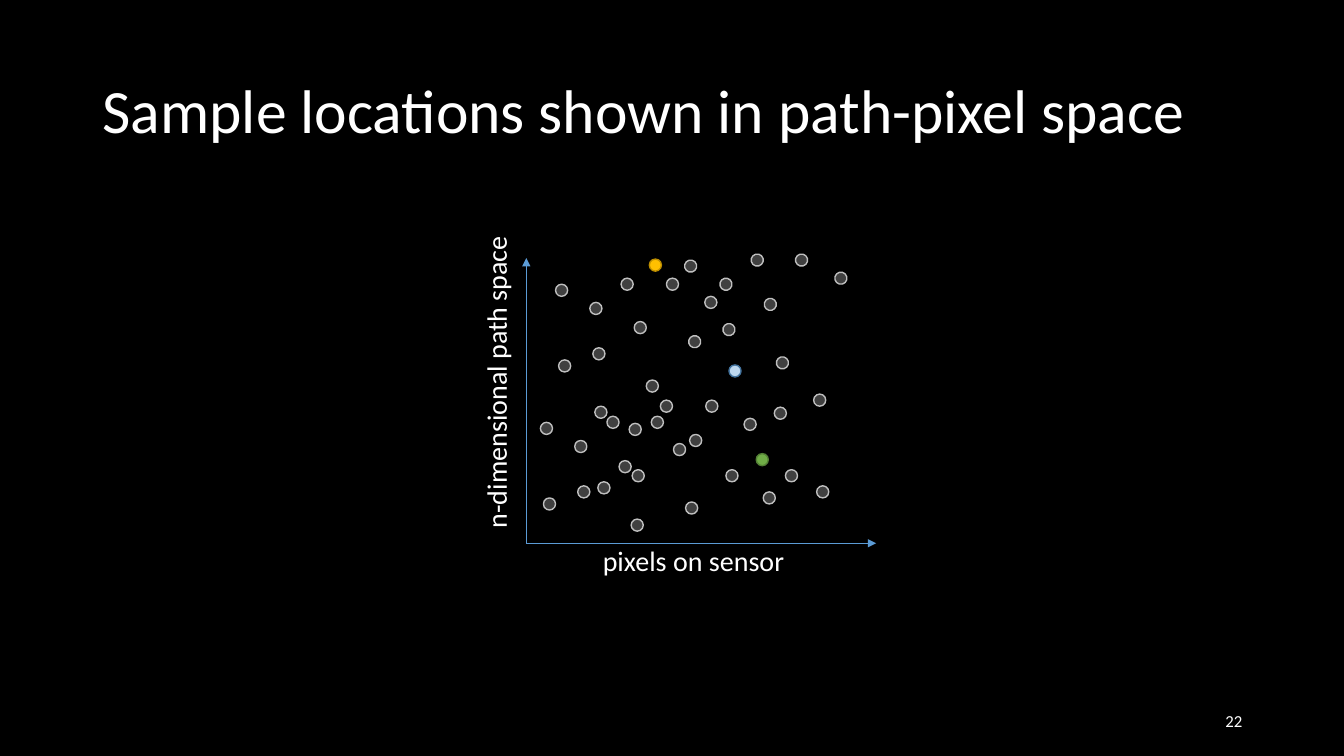
import pptx
import pptx.util
import pptx.dml.color
import pptx.enum.shapes
import pptx.enum.text
import pptx.oxml

COLORS = {
    "back": "000000", "text": "FFFFFF", "axis": "5B9BD5",
    "gray": "404040", "rim": "BFBFBF",
    "green": "70AD47", "moss": "538035",
    "sky": "BDD7EE", "blue": "43739E",
    "gold": "FFC000", "brown": "BD8E00",
}
DOT = 0.12
ORIGIN = (5.22, 5.39)

# Top left corners of the gray samples, in inches, keyed by rotation
SAMPLES = [
    (0, [(5.51, 2.82), (6.16, 2.76), (5.88, 3.45), (6.99, 2.94), (6.61, 2.76),
         (5.85, 3), (5.54, 3.57), (6.41, 3.77), (6.29, 3.19)]),
    (330, [(5.9, 4.03), (6.55, 3.97), (6.27, 4.66), (7.38, 4.15), (7, 3.97),
           (6.24, 4.2), (5.93, 4.78), (6.8, 4.98), (6.68, 4.4)]),
    (30, [(5.36, 4.19), (6.02, 4.13), (5.73, 4.82), (6.84, 4.31), (6.46, 4.13),
          (5.7, 4.37), (5.39, 4.94), (6.26, 5.15), (6.14, 4.57)]),
    (15, [(6.79, 2.58), (7.45, 2.52), (7.17, 3.21), (8.28, 2.7), (7.89, 2.52),
          (7.14, 2.76), (6.83, 3.33), (7.7, 3.54), (7.58, 2.96)]),
    (330, [(7.2, 4.66), (7.68, 4.04), (7.79, 4.66), (7.57, 4.88), (8.1, 4.82),
           (8.07, 3.91)]),
]
# Highlighted samples: corner, fill, rim
MARKS = [
    ((7.5, 4.5), "green", "moss"),
    ((7.23, 3.62), "sky", "blue"),
    ((6.44, 2.57), "gold", "brown"),
]


def cm(*inches):
    return [pptx.util.Cm(value * 2.54) for value in inches]


def color(name):
    return pptx.dml.color.RGBColor.from_string(COLORS[name])


def write(frame, text, size=20, align=None, spacing=None):
    para = frame.paragraphs[0]
    para.alignment = align
    para.line_spacing = spacing
    run = para.add_run()
    run.text = text
    run.font.name = "Calibri"
    run.font.size = pptx.util.Pt(size)
    run.font.color.rgb = color("text")


class Canvas:
    def __init__(self, slide):
        self.slide = slide
        self.shapes = slide.shapes
        fill = slide.background.fill
        fill.solid()
        fill.fore_color.rgb = color("back")

    def label(self, box, text, turn=0, wrap=True, middle=False, **style):
        shape = self.shapes.add_textbox(*cm(*box))
        shape.rotation = turn
        frame = shape.text_frame
        frame.word_wrap = wrap
        if middle:
            frame.vertical_anchor = pptx.enum.text.MSO_ANCHOR.MIDDLE
        else:
            frame.auto_size = pptx.enum.text.MSO_AUTO_SIZE.SHAPE_TO_FIT_TEXT
        write(frame, text, **style)

    def arrow(self, start, end):
        kind = pptx.enum.shapes.MSO_CONNECTOR.STRAIGHT
        line = self.shapes.add_connector(kind, *cm(*start, *end))
        line.line.color.rgb = color("axis")
        line.line.width = pptx.util.Pt(0.5)
        props = line._element.spPr
        space = 'xmlns:a="http://schemas.openxmlformats.org/drawingml/2006/main"'
        props.find(pptx.oxml.ns.qn("a:ln")).append(
            pptx.oxml.parse_xml(f'<a:tailEnd {space} type="triangle"/>'))
        props.append(pptx.oxml.parse_xml(f"<a:effectLst {space}/>"))

    def dot(self, spot, fill="gray", rim="rim", turn=0):
        kind = pptx.enum.shapes.MSO_SHAPE.OVAL
        shape = self.shapes.add_shape(kind, *cm(*spot, DOT, DOT))
        shape.rotation = turn
        shape.shadow.inherit = False
        shape.fill.solid()
        shape.fill.fore_color.rgb = color(fill)
        shape.line.color.rgb = color(rim)
        shape.line.width = pptx.util.Pt(1)


def main():
    deck = pptx.Presentation()
    deck.slide_width, deck.slide_height = cm(13.33, 7.5)
    canvas = Canvas(deck.slides.add_slide(deck.slide_layouts[6]))

    # Title and page number
    canvas.label((0.92, 0.4, 11.5, 1.45), "Sample locations shown in path-pixel space",
                 middle=True, size=44, spacing=0.9)
    canvas.label((9.42, 6.95, 3, 0.4), "22", middle=True, size=12,
                 align=pptx.enum.text.PP_ALIGN.RIGHT)

    # Axes and their labels
    canvas.arrow(ORIGIN, (ORIGIN[0], 2.56))
    canvas.arrow(ORIGIN, (8.69, ORIGIN[1]))
    canvas.label((3.32, 3.52, 3.2, 0.44), "n-dimensional path space", turn=270)
    canvas.label((5.88, 5.34, 2.02, 0.44), "pixels on sensor", wrap=False)

    # Samples
    for turn, spots in SAMPLES:
        for spot in spots:
            canvas.dot(spot, turn=turn)
    for spot, fill, rim in MARKS:
        canvas.dot(spot, fill, rim)

    deck.save("out.pptx")


if __name__ == "__main__":
    main()
